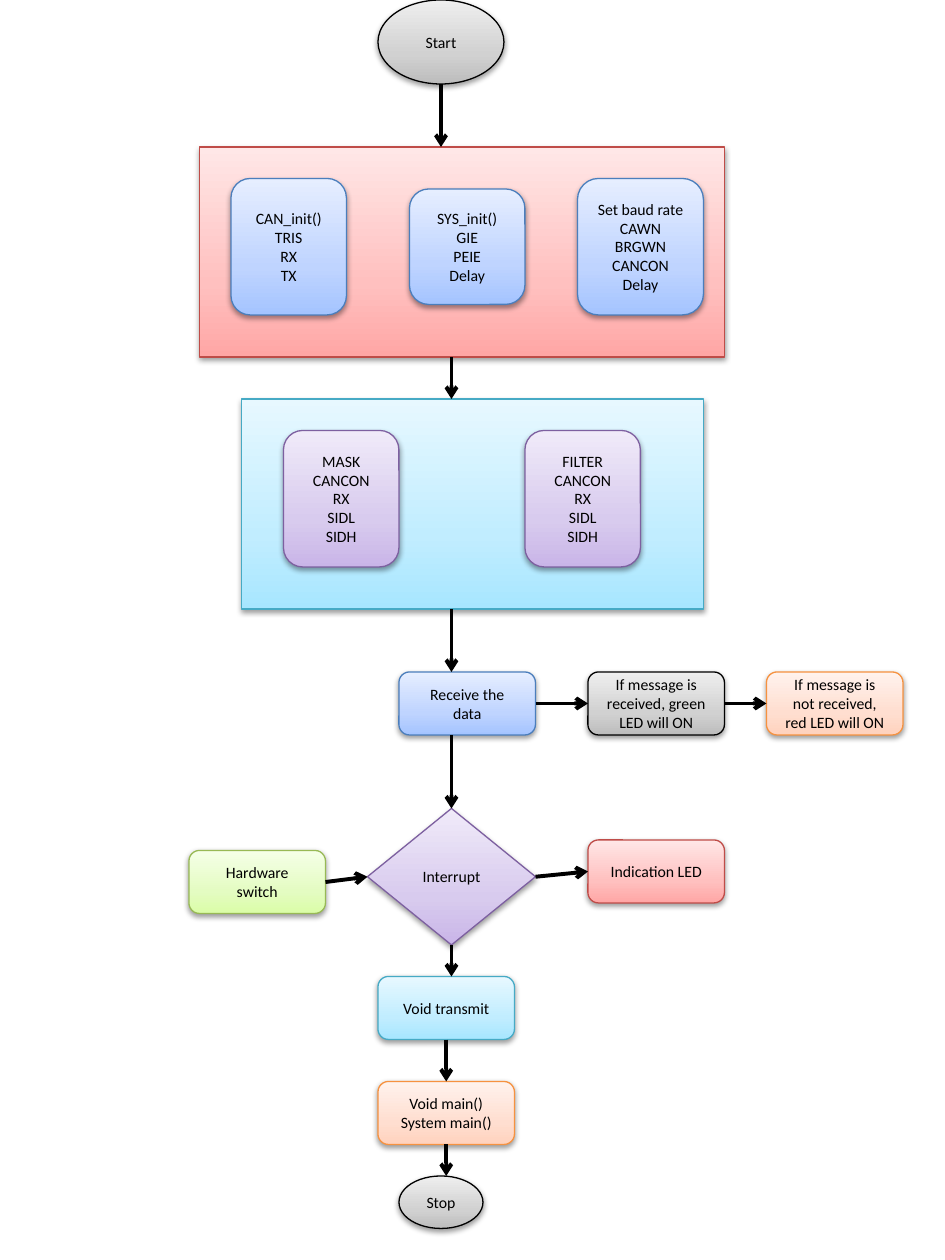
from copy import deepcopy

from lxml import etree
from pptx import Presentation
from pptx import util as u
from pptx.dml.color import RGBColor
from pptx.enum import shapes, text
from pptx.oxml.ns import qn

# Slide grid: 90 columns by 120 rows, each cell 1/12 inch
CELL = u.Inches(1) // 12
COLUMNS, ROWS = 90, 120

BLACK = RGBColor(0x00, 0x00, 0x00)


def palette(*codes):
    """Return the colours of a line and its three gradient stops."""
    return [RGBColor.from_string(code) for code in codes]


GRAY = palette("000000", "BDBDBD", "D1D1D1", "EEEEEE")
RED = palette("BF4C48", "FFA6A5", "FFC0BF", "FFE7E7")
BLUE = palette("4B7EBC", "A4C4FF", "BFD4FF", "E6EEFF")
CYAN = palette("46AAC5", "A7E6FF", "C1EDFF", "E7F8FF")
PURPLE = palette("7D60A0", "C9B5E8", "D8CBEE", "F0EAF9")
GREEN = palette("98B955", "DAFDA7", "E4FCC2", "F5FFE7")
ORANGE = palette("F69240", "FFD2BD", "FFDED0", "FFF2ED")
STOPS = (0, 0.35, 1)

RECTANGLE = shapes.MSO_SHAPE.RECTANGLE
ROUNDED = shapes.MSO_SHAPE.ROUNDED_RECTANGLE
OVAL = shapes.MSO_SHAPE.OVAL
DIAMOND = shapes.MSO_SHAPE.DIAMOND

SMALL_BOX = (13, 6)

# kind, colours, (column, row), (width, height), lines of text
NODES = [
    (OVAL, GRAY, (36, 0), (12, 8), ["Start"]),
    (RECTANGLE, RED, (19, 14), (50, 20), []),
    (ROUNDED, BLUE, (22, 17), (11, 13), ["CAN_init()", "TRIS", "RX", "TX"]),
    (ROUNDED, BLUE, (39, 18), (11, 11), ["SYS_init()", "GIE", "PEIE", "Delay"]),
    (ROUNDED, BLUE, (55, 17), (12, 13),
     ["Set baud rate", "CAWN", "BRGWN", "CANCON", "Delay"]),
    (RECTANGLE, CYAN, (23, 38), (44, 20), []),
    (ROUNDED, PURPLE, (27, 41), (11, 13), ["MASK", "CANCON", "RX", "SIDL", "SIDH"]),
    (ROUNDED, PURPLE, (50, 41), (11, 13), ["FILTER", "CANCON", "RX", "SIDL", "SIDH"]),
    (ROUNDED, BLUE, (38, 64), SMALL_BOX, ["Receive the data"]),
    (ROUNDED, GRAY, (56, 64), SMALL_BOX, ["If message is received, green LED will ON"]),
    (ROUNDED, ORANGE, (73, 64), SMALL_BOX, ["If message is not received, red LED will ON"]),
    (DIAMOND, PURPLE, (35, 77), (16, 13), ["Interrupt"]),
    (ROUNDED, GREEN, (18, 81), SMALL_BOX, ["Hardware switch"]),
    (ROUNDED, RED, (56, 80), SMALL_BOX, ["Indication LED"]),
    (ROUNDED, CYAN, (36, 93), SMALL_BOX, ["Void transmit"]),
    (ROUNDED, ORANGE, (36, 103), SMALL_BOX, ["Void main()", "System main()"]),
    (OVAL, GRAY, (38, 112), (8, 5), ["Stop"]),
]

# start and end, each (column, row)
ARROWS = [
    ((42, 8), (42, 14)),
    ((43, 34), (43, 38)),
    ((43, 58), (43, 64)),
    ((51, 67), (56, 67)),
    ((69, 67), (73, 67)),
    ((43, 70), (43, 77)),
    ((31, 84), (35, 83.5)),
    ((51, 83.5), (56, 83)),
    ((43, 90), (43, 93)),
    ((42.5, 99), (42.5, 103)),
    ((42.5, 109), (42.5, 112)),
]


def grid(*cells):
    """Turn counts of grid cells into lengths."""
    return [u.Emu(int(count * CELL)) for count in cells]


def write_text(shape, lines, *, size=9, font="Calibri", color=BLACK,
               align=text.PP_ALIGN.CENTER):
    """Write one paragraph per line, vertically centred in the shape."""
    frame = shape.text_frame
    frame.word_wrap = True
    frame.vertical_anchor = text.MSO_ANCHOR.MIDDLE
    frame.text = "\n".join(lines)
    for paragraph in frame.paragraphs:
        paragraph.alignment = align
        for run in paragraph.runs:
            run.font.size = u.Pt(size)
            run.font.name = font
            run.font.color.rgb = color


def fill_gradient(shape, colors):
    """Fill with a gradient that runs from the bottom to the top."""
    shape.fill.gradient()
    shape.fill.gradient_angle = 90
    stop_list = shape.element.spPr.find(".//" + qn("a:gsLst"))
    stop_list.append(deepcopy(stop_list[-1]))
    for stop, position, color in zip(shape.fill.gradient_stops, STOPS, colors):
        stop.position = position
        stop.color.rgb = color


def add_shadow(shape):
    """Drop a soft black shadow straight down."""
    shape.shadow.inherit = False
    effects = shape.element.spPr.find(qn("a:effectLst"))
    shadow = etree.SubElement(effects, qn("a:outerShdw"), blurRad="40000",
                              dist="20000", dir="5400000", rotWithShape="0")
    color = etree.SubElement(shadow, qn("a:srgbClr"), val="000000")
    etree.SubElement(color, qn("a:alpha"), val="38000")


def add_node(slide, kind, colors, position, size, lines):
    """Add one flowchart shape with its text."""
    shape = slide.shapes.add_shape(kind, *grid(*position, *size))
    line_color, *stop_colors = colors
    fill_gradient(shape, stop_colors)
    shape.line.color.rgb = line_color
    shape.line.width = u.Pt(0.75)
    add_shadow(shape)
    if lines:
        write_text(shape, lines)


def add_arrow(slide, start, end):
    """Add a straight arrow between two grid points."""
    arrow = slide.shapes.add_connector(
        shapes.MSO_CONNECTOR.STRAIGHT, *grid(*start, *end))
    arrow.line.color.rgb = BLACK
    arrow.line.width = u.Pt(2.25)
    properties = arrow.element.spPr
    etree.SubElement(properties.find(qn("a:ln")), qn("a:tailEnd"), type="arrow")
    etree.SubElement(properties, qn("a:effectLst"))


def main():
    """Build the flowchart slide and save it."""
    presentation = Presentation()
    presentation.slide_width, presentation.slide_height = grid(COLUMNS, ROWS)
    slide = presentation.slides.add_slide(presentation.slide_layouts[6])
    for node in NODES:
        add_node(slide, *node)
    for start, end in ARROWS:
        add_arrow(slide, start, end)
    presentation.save("out.pptx")


main()
